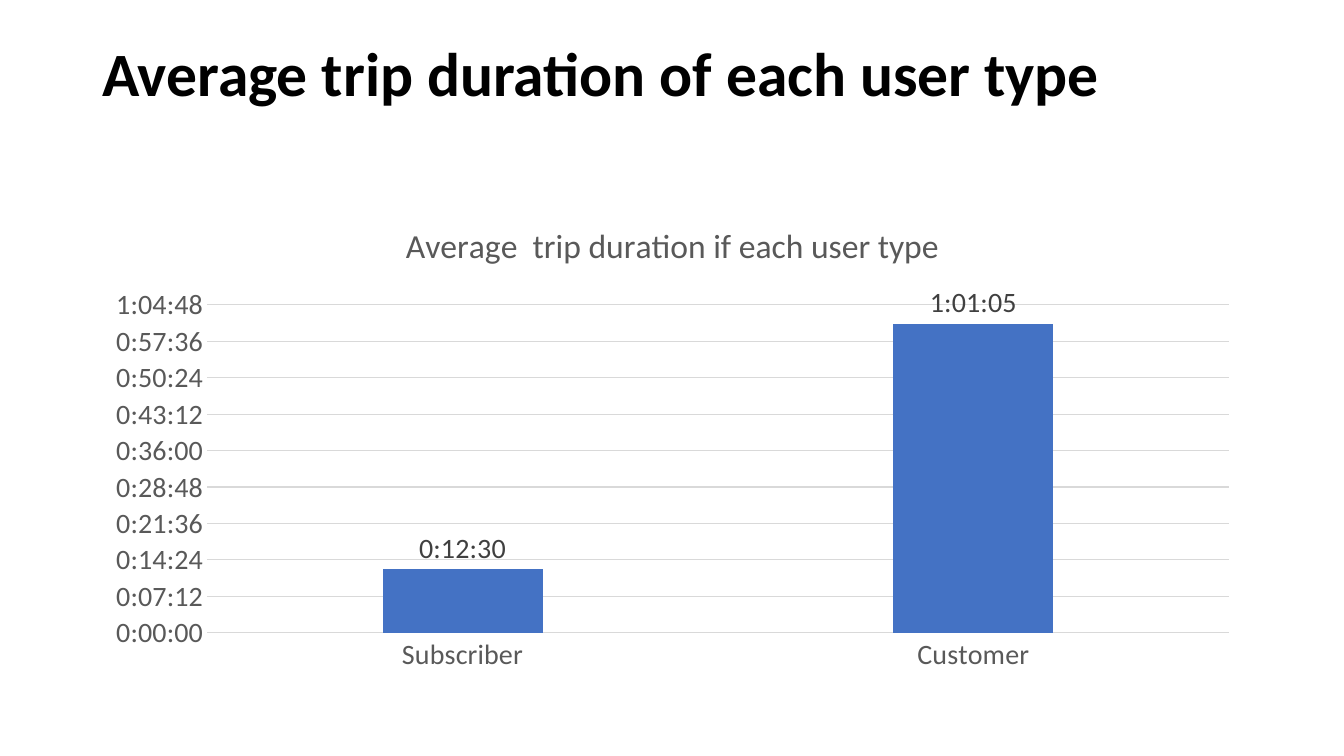
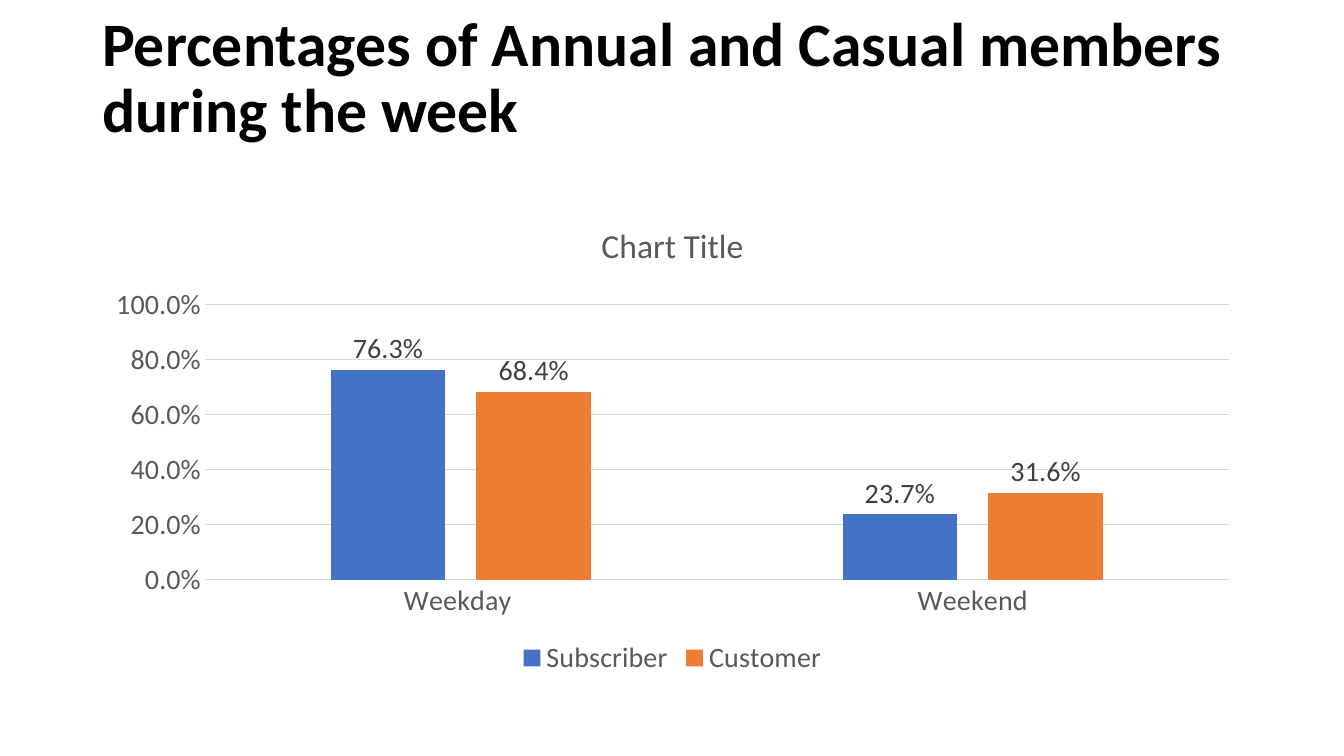
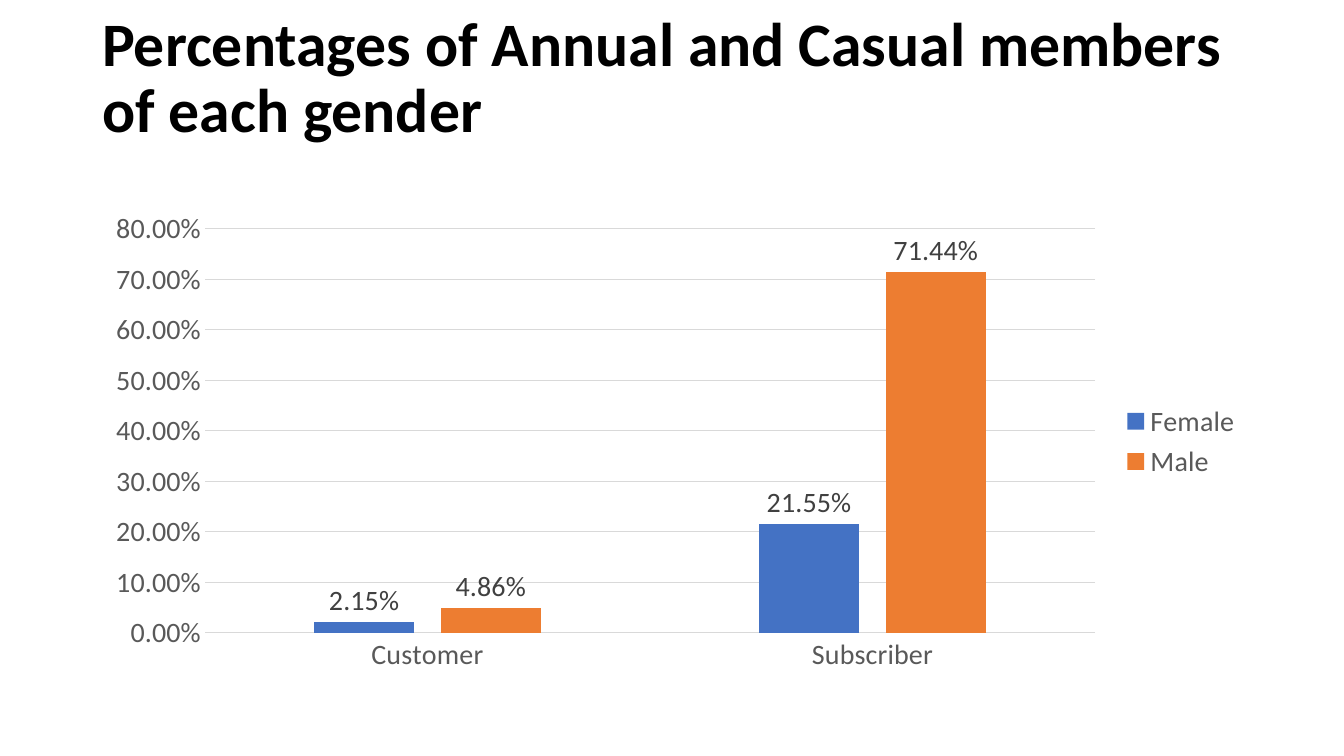
from pptx import Presentation
from pptx.chart.data import CategoryChartData
from pptx.dml.color import RGBColor
from pptx.enum.chart import XL_CHART_TYPE, XL_LABEL_POSITION, XL_LEGEND_POSITION, XL_TICK_MARK
from pptx.enum.text import MSO_ANCHOR, MSO_AUTO_SIZE, PP_ALIGN
from pptx.util import Emu, Pt

BLACK = RGBColor(0x00, 0x00, 0x00)
AXIS_GREY = RGBColor(0x59, 0x59, 0x59)
LABEL_GREY = RGBColor(0x40, 0x40, 0x40)
GRID_GREY = RGBColor(0xD9, 0xD9, 0xD9)
BLUE = RGBColor(0x44, 0x72, 0xC4)
ORANGE = RGBColor(0xED, 0x7D, 0x31)
SERIES_COLORS = [BLUE, ORANGE]
FONT_NAME = "Calibri"


def pixels(count):
    """Turn pixels at 100.8 to the inch into EMU."""
    return Emu(round(count * 914400 / 100.8))


def format_font(font, size=20, color=AXIS_GREY, bold=False):
    """Set typeface, size, colour and weight of a font."""
    font.name = FONT_NAME
    font.size = Pt(size)
    font.bold = bold
    font.color.rgb = color


# Times are fractions of a day.
SLIDES = [
    {
        "title": "Average trip duration of each user type",
        "title_size": 44,
        "title_inset": 77,
        "chart_title": "Average  trip duration if each user type",
        "categories": ["Subscriber", "Customer"],
        "series": {"Series 1": [0.008681, 0.042426]},
        "number_format": "h:mm:ss;@",
        "axis": (0.045, 0.005),
        "legend": None,
    },
    {
        "title": "Percentages of Annual and Casual members during the week",
        "title_size": 44.1,
        "title_inset": 72,
        "chart_title": "Chart Title",
        "categories": ["Weekday ", "Weekend"],
        "series": {"Subscriber": [0.763, 0.237], "Customer": [0.684, 0.316]},
        "number_format": "0.0%",
        "axis": (1, 0.2),
        "legend": XL_LEGEND_POSITION.BOTTOM,
    },
    {
        "title": "Percentages of Annual and Casual members of each gender",
        "title_size": 44.1,
        "title_inset": 72,
        "chart_title": None,
        "categories": ["Customer", "Subscriber"],
        "series": {"Female": [0.0215, 0.2155], "Male": [0.0486, 0.7144]},
        "number_format": "0.00%",
        "axis": (0.8, 0.1),
        "legend": XL_LEGEND_POSITION.RIGHT,
    },
]

presentation = Presentation()
presentation.slide_width = pixels(1344)
presentation.slide_height = pixels(756)
title_only = presentation.slide_layouts[5]

for content in SLIDES:
    slide = presentation.slides.add_slide(title_only)

    title = slide.shapes.title
    title.left, title.top = pixels(92), pixels(40)
    title.width, title.height = pixels(1159), pixels(146)
    frame = title.text_frame
    frame.text = content["title"]
    frame.word_wrap = True
    frame.auto_size = MSO_AUTO_SIZE.NONE
    frame.vertical_anchor = MSO_ANCHOR.MIDDLE
    frame.margin_bottom = pixels(content["title_inset"])
    paragraph = frame.paragraphs[0]
    paragraph.alignment = PP_ALIGN.LEFT
    paragraph.line_spacing = 0.9
    format_font(paragraph.runs[0].font, size=content["title_size"], color=BLACK, bold=True)

    chart_data = CategoryChartData(number_format=content["number_format"])
    chart_data.categories = content["categories"]
    for name, values in content["series"].items():
        chart_data.add_series(name, values)
    chart = slide.shapes.add_chart(
        XL_CHART_TYPE.COLUMN_CLUSTERED,
        pixels(93), pixels(202), pixels(1159), pixels(479), chart_data,
    ).chart
    format_font(chart.font, color=BLACK)

    chart.has_title = content["chart_title"] is not None
    if chart.has_title:
        chart_title = chart.chart_title
        chart_title.include_in_layout = False
        chart_title.text_frame.text = content["chart_title"]
        format_font(chart_title.text_frame.paragraphs[0].runs[0].font, size=24)

    chart.has_legend = content["legend"] is not None
    if chart.has_legend:
        chart.legend.position = content["legend"]
        chart.legend.include_in_layout = False
        format_font(chart.legend.font)

    for axis in (chart.category_axis, chart.value_axis):
        axis.major_tick_mark = XL_TICK_MARK.NONE
        axis.minor_tick_mark = XL_TICK_MARK.NONE
        format_font(axis.tick_labels.font)
    category_line = chart.category_axis.format.line
    value_axis = chart.value_axis
    value_axis.format.line.fill.background()
    value_axis.has_major_gridlines = True
    for line in (category_line, value_axis.major_gridlines.format.line):
        line.color.rgb = GRID_GREY
        line.width = Pt(0.75)
    value_axis.minimum_scale = 0
    value_axis.maximum_scale, value_axis.major_unit = content["axis"]
    value_axis.tick_labels.number_format = content["number_format"]
    value_axis.tick_labels.number_format_is_linked = False

    plot = chart.plots[0]
    plot.vary_by_categories = False
    plot.gap_width = 219
    plot.overlap = -27
    for series, color in zip(plot.series, SERIES_COLORS):
        series.format.fill.solid()
        series.format.fill.fore_color.rgb = color
        labels = series.data_labels
        labels.show_value = True
        labels.position = XL_LABEL_POSITION.OUTSIDE_END
        labels.number_format = content["number_format"]
        labels.number_format_is_linked = False
        format_font(labels.font, color=LABEL_GREY)

presentation.save("out.pptx")
